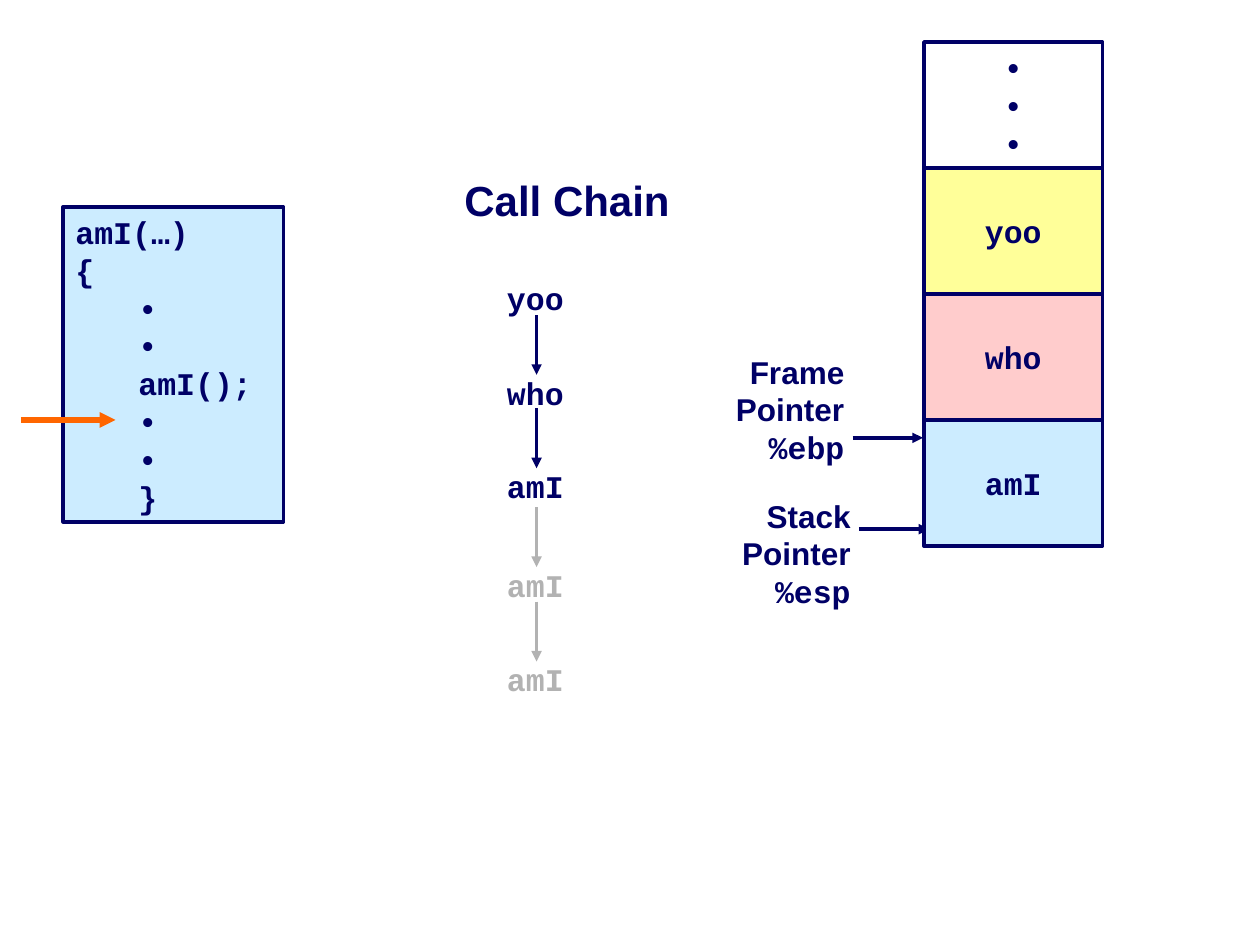
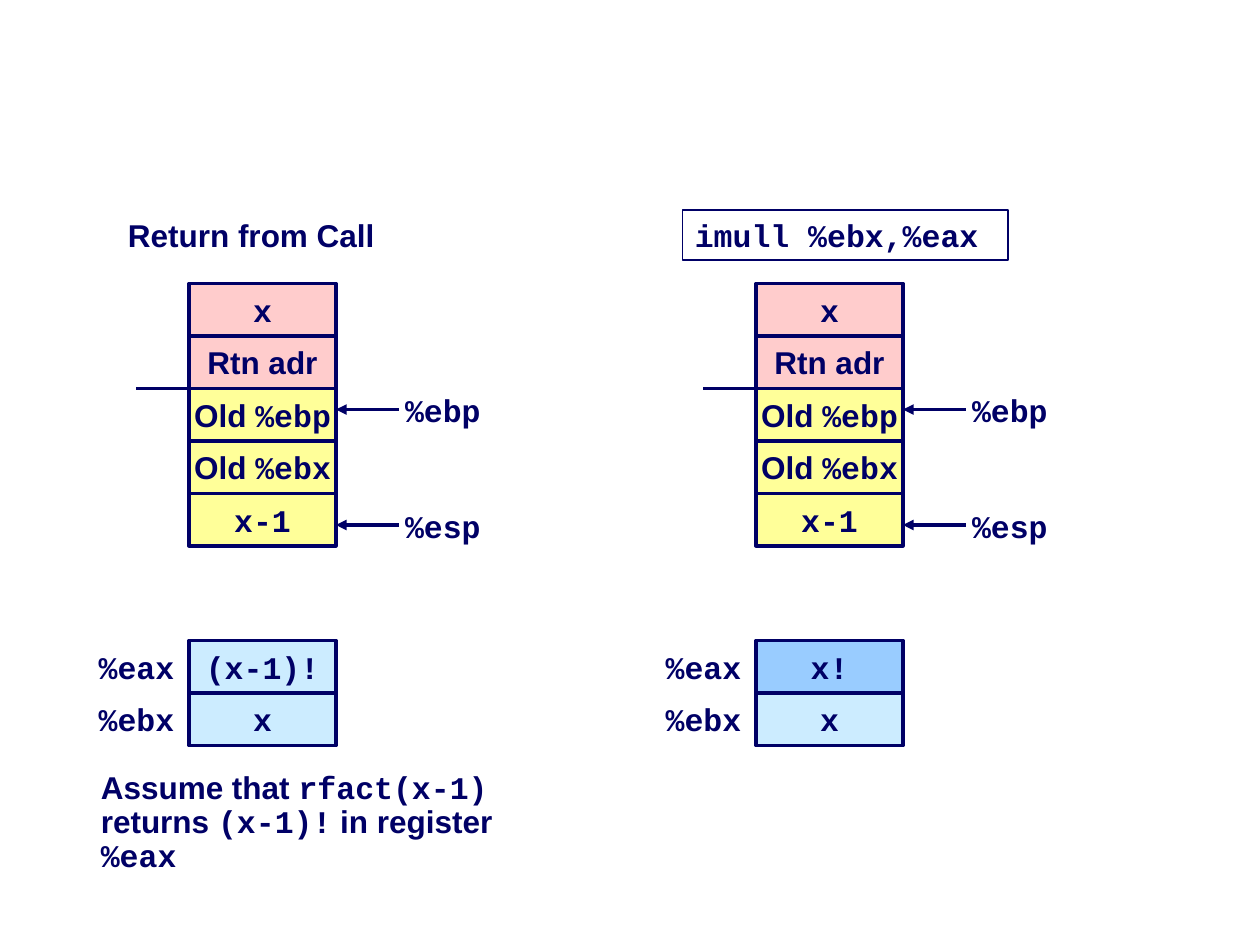
import pptx
import pptx.dml.color
import pptx.enum.shapes
import pptx.enum.text
import pptx.oxml
import pptx.oxml.ns
import pptx.util

# Shared grid: 120 columns by 90 rows on a 10 x 7.5 inch slide
SLIDE_WIDTH, SLIDE_HEIGHT = 10, 7.5
UNIT = SLIDE_WIDTH / 120

NAVY, ORANGE, GREY, WHITE = "000066", "FF6600", "B2B2B2", "FFFFFF"
YELLOW, PINK, PALE_BLUE, BLUE = "FFFF99", "FFCCCC", "CCECFF", "99CCFF"
TEXT_FONT, CODE_FONT = "Arial", "Courier New"
LEFT, CENTER, RIGHT = (
    pptx.enum.text.PP_ALIGN.LEFT,
    pptx.enum.text.PP_ALIGN.CENTER,
    pptx.enum.text.PP_ALIGN.RIGHT,
)
TOP, MIDDLE = pptx.enum.text.MSO_ANCHOR.TOP, pptx.enum.text.MSO_ANCHOR.MIDDLE


def rgb(color):
    return pptx.dml.color.RGBColor.from_string(color)


def grid(*values):
    return [pptx.util.Inches(value * UNIT) for value in values]


def write(shape, lines, align=LEFT, anchor=TOP, size=18, color=NAVY, wrap=False, inset=0.1):
    """Write one paragraph per line; parts between backticks are set as code."""
    frame = shape.text_frame
    frame.word_wrap = wrap
    frame.vertical_anchor = anchor
    frame.margin_left = frame.margin_right = pptx.util.Inches(inset)
    for index, line in enumerate(lines):
        paragraph = frame.add_paragraph() if index else frame.paragraphs[0]
        paragraph.alignment = align
        for part, text in enumerate(line.split("`")):
            if not text:
                continue
            run = paragraph.add_run()
            run.text = text
            run.font.name = CODE_FONT if part % 2 else TEXT_FONT
            run.font.size = pptx.util.Pt(size)
            run.font.bold = True
            run.font.color.rgb = rgb(color)
    return frame


def add_text(slide, box, lines, **style):
    return write(slide.shapes.add_textbox(*grid(*box)), lines, **style)


def add_box(slide, box, lines, fill=None, line_width=2, align=CENTER, anchor=MIDDLE, **style):
    rectangle = pptx.enum.shapes.MSO_SHAPE.RECTANGLE
    shape = slide.shapes.add_shape(rectangle, *grid(*box))
    shape.shadow.inherit = False
    if fill:
        shape.fill.solid()
        shape.fill.fore_color.rgb = rgb(fill)
    else:
        shape.fill.background()
    if line_width:
        shape.line.color.rgb = rgb(NAVY)
        shape.line.width = pptx.util.Pt(line_width)
    else:
        shape.line.fill.background()
    return write(shape, lines, align=align, anchor=anchor, **style)


def add_line(slide, start, end, color=NAVY, width=2, arrow=True):
    straight = pptx.enum.shapes.MSO_CONNECTOR.STRAIGHT
    connector = slide.shapes.add_connector(straight, *grid(*start, *end))
    connector.line.color.rgb = rgb(color)
    connector.line.width = pptx.util.Pt(width)
    if arrow:
        head = pptx.oxml.parse_xml(
            f'<a:tailEnd {pptx.oxml.ns.nsdecls("a")} type="triangle"/>')
        connector.line._get_or_add_ln().append(head)
    effects = pptx.oxml.parse_xml(f'<a:effectLst {pptx.oxml.ns.nsdecls("a")}/>')
    connector._element.spPr.append(effects)


def add_stack(slide, left, top, width, height, cells):
    """Stack equal cells downwards; each cell is (text, fill)."""
    for row, (text, fill) in enumerate(cells):
        add_box(slide, (left, top + row * height, width, height), [text], fill)


# Slide 1: call chain

def code_listing(slide, left, top, width, height):
    body = ["•", "•", "amI();", "•", "•", "}"]
    lines = [f"`{line}`" for line in ["amI(…)", "{", *body]]
    frame = add_box(slide, (left, top, width, height), lines, PALE_BLUE,
                    align=LEFT, anchor=TOP, wrap=True)
    for paragraph in frame.paragraphs[-len(body):]:
        paragraph.level = 1
        properties = paragraph._p.get_or_add_pPr()
        properties.set("marL", str(pptx.util.Inches(0.5)))
        properties.set("indent", "0")
    # Current point of execution
    arrow_row = top + 20.3
    add_line(slide, (left - 4, arrow_row), (left + 5, arrow_row), ORANGE, 3)


def call_chain(slide, left, top):
    add_text(slide, (left - 4.1, top - 10, 22, 6), ["Call Chain"], align=CENTER, size=24)
    # Name, row of the name, colour; each call after the first has an arrow above it
    calls = [("yoo", 0, NAVY), ("who", 9, NAVY), ("amI", 17.9, NAVY),
             ("amI", 27.3, GREY), ("amI", 36.3, GREY)]
    for index, (name, row, color) in enumerate(calls):
        add_text(slide, (left, top + row, 8, 4.8), [f"`{name}`"], color=color)
        if index:
            arrow_top = top + row - 5
            add_line(slide, (left + 4, arrow_top), (left + 4, arrow_top + 5.7), color)


def pointer_label(slide, left, top, name, register, arrow_row):
    add_line(slide, (left + 12.3, top + arrow_row), (left + 19, top + arrow_row))
    add_text(slide, (left, top, 12.7, 12), [name, "Pointer", f"`{register}`"], align=RIGHT)


def call_chain_slide(slide):
    code_listing(slide, 6, 19.7, 21, 30)
    call_chain(slide, 47.1, 26)
    pointer_label(slide, 69.5, 46.7, "Stack", "%esp", 3.7)
    add_box(slide, (88, 4, 17, 12), ["`•`"] * 3, anchor=TOP)
    add_stack(slide, 88, 16, 17, 12,
              [("`yoo`", YELLOW), ("`who`", PINK), ("`amI`", PALE_BLUE)])
    pointer_label(slide, 68.9, 33, "Frame", "%ebp", 8.7)


# Slide 2: stack and registers before and after the multiplication

def machine_state(slide, left, top, eax, eax_fill):
    stack_left, cell_width, cell_height = left + 9, 14, 5
    stack_right = stack_left + cell_width
    add_stack(slide, stack_left, top, cell_width, cell_height, [
        ("`x`", PINK), ("Rtn adr", PINK),
        ("Old `%ebp`", YELLOW), ("Old `%ebx`", YELLOW), ("`x-1`", YELLOW)])
    # Frame boundary
    boundary = top + 2 * cell_height
    add_line(slide, (stack_left - 5, boundary), (stack_left, boundary), arrow=False)
    # Pointers into the stack
    for register, row in (("%ebp", 12), ("%esp", 23)):
        add_line(slide, (stack_right + 6, top + row), (stack_right, top + row))
        add_text(slide, (stack_right + 5.4, top + row - 2.3, 9.6, 4.8), [f"`{register}`"])
    # Registers
    registers_top = top + 34
    for row, register in enumerate(("%eax", "%ebx")):
        add_box(slide, (left, registers_top + row * cell_height, 8, cell_height),
                [f"`{register}`"], WHITE, line_width=0)
    add_stack(slide, stack_left, registers_top, cell_width, cell_height,
              [(f"`{eax}`", eax_fill), ("`x`", PALE_BLUE)])


def multiplication_slide(slide):
    add_text(slide, (11, 20, 28, 4.8), ["Return from Call"], wrap=True)
    machine_state(slide, 9, 27, "(x-1)!", PALE_BLUE)
    add_box(slide, (65, 20, 31, 4.8), ["`imull %ebx,%eax`"],
            line_width=1, align=LEFT, anchor=TOP, wrap=True)
    machine_state(slide, 63, 27, "x!", BLUE)
    note = add_text(slide, (9, 73, 40, 11),
                    ["Assume that `rfact(x-1)` returns `(x-1)!` in register `%eax`"],
                    wrap=True, inset=0.05)
    note.paragraphs[0].line_spacing = 0.9


def main():
    presentation = pptx.Presentation()
    presentation.slide_width = pptx.util.Inches(SLIDE_WIDTH)
    presentation.slide_height = pptx.util.Inches(SLIDE_HEIGHT)
    for fill_slide in (call_chain_slide, multiplication_slide):
        fill_slide(presentation.slides.add_slide(presentation.slide_layouts[6]))
    presentation.save("out.pptx")


if __name__ == "__main__":
    main()
